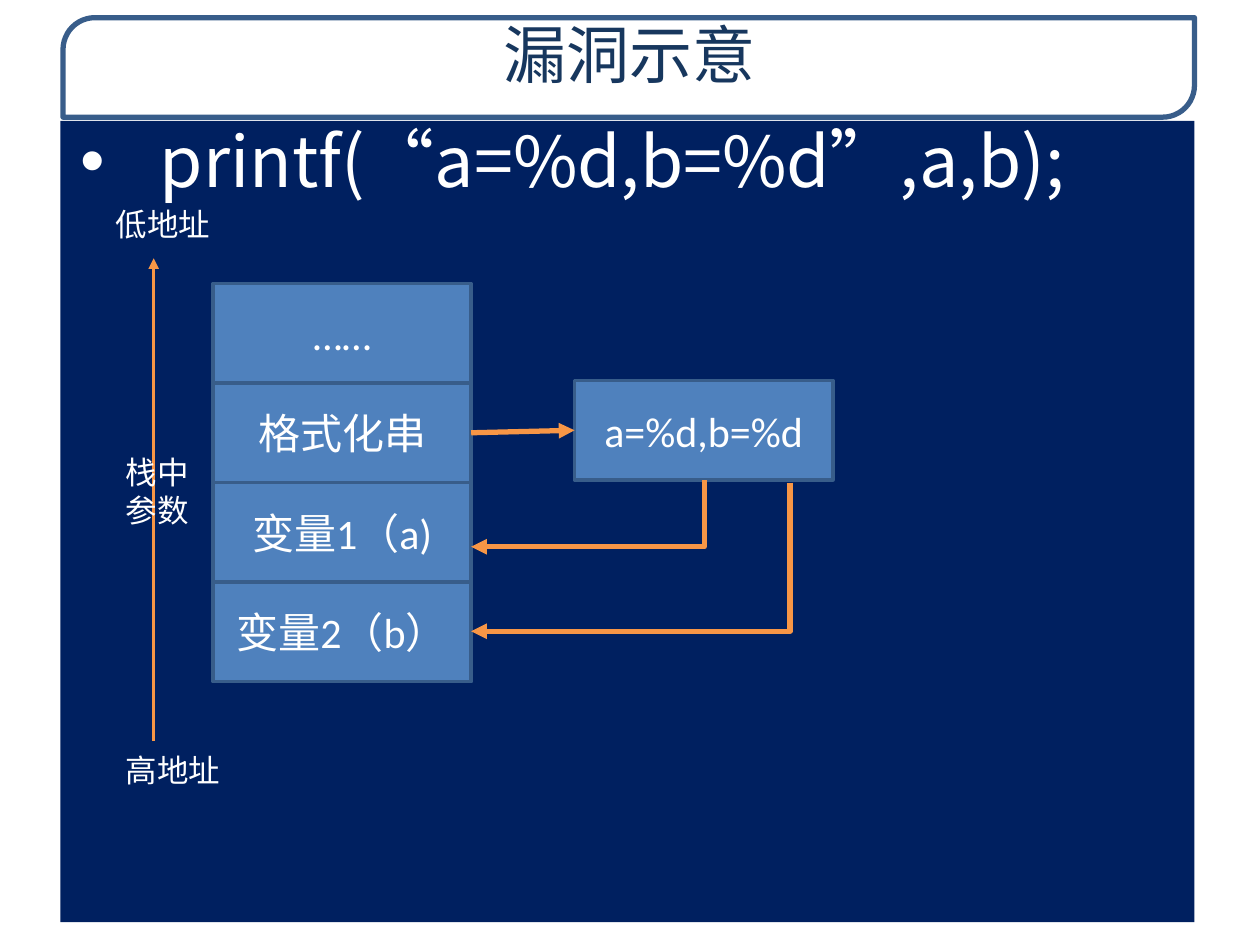
from lxml import etree
from pptx import Presentation
from pptx.dml.color import RGBColor
from pptx.enum import shapes, text
from pptx.oxml.ns import qn
from pptx.util import Inches, Pt

TITLE = "漏洞示意"
CODE = "printf(“a=%d,b=%d”,a,b);"
STACK = ["……", "格式化串", "变量1（a)", "变量2（b）"]
FORMAT = "a=%d,b=%d"
LABELS = [  # text, left, top, width, height
    ("低地址", 0.82, 1.58, 0.95, 0.4),
    ("高地址", 0.9, 5.91, 0.95, 0.4),
    ("栈中\n参数", 0.9, 3.55, 0.72, 0.7),
]
COLORS = {"white": "FFFFFF", "navy": "002060", "title": "17375E",
          "cell": "4F81BD", "edge": "385D8A", "arrow": "F79646"}
CJK = "Noto Sans CJK SC"
CELL_W, CELL_H = 2.05, 0.79
STACK_X, STACK_Y = 1.69, 2.25
FORMAT_X, FORMAT_Y = 4.56, 3.02

prs = Presentation()
prs.slide_width, prs.slide_height = Inches(10), Inches(7.5)
slide = prs.slides.add_slide(prs.slide_layouts[6])


def color(name):
    return RGBColor.from_string(COLORS[name])


def write(shape, content, size=24, font="Calibri", ink="white", inset=0.1,
          align=text.PP_ALIGN.CENTER, anchor=text.MSO_ANCHOR.MIDDLE,
          bullet_indent=None, spacing=None):
    frame = shape.text_frame
    frame.word_wrap = True
    frame.vertical_anchor = anchor
    frame.margin_left = frame.margin_right = Inches(inset)
    frame.text = content
    for paragraph in frame.paragraphs:
        paragraph.alignment = align
        paragraph.line_spacing = spacing
        if bullet_indent:
            props = paragraph._p.get_or_add_pPr()
            props.set("marL", str(Inches(bullet_indent)))
            props.set("indent", str(-Inches(bullet_indent)))
            etree.SubElement(props, qn("a:buFont"), typeface="Arial")
            etree.SubElement(props, qn("a:buChar"), char="•")
        for run in paragraph.runs:
            run.font.size = Pt(size)
            run.font.name = font
            run.font.color.rgb = color(ink)
            etree.SubElement(run._r.get_or_add_rPr(), qn("a:ea"), typeface=CJK)


def add_box(x, y, w, h, fill, edge=None, weight=2,
            kind=shapes.MSO_SHAPE.RECTANGLE):
    box = slide.shapes.add_shape(kind, Inches(x), Inches(y), Inches(w), Inches(h))
    box.shadow.inherit = False
    box.fill.solid()
    box.fill.fore_color.rgb = color(fill)
    if edge:
        box.line.color.rgb = color(edge)
        box.line.width = Pt(weight)
    else:
        box.line.fill.background()
    return box


def add_cell(content, x, y):
    cell = add_box(x, y, CELL_W, CELL_H, "cell", "edge")
    write(cell, content)
    return cell


def add_arrow(start, end, weight=3, kind=shapes.MSO_CONNECTOR.STRAIGHT):
    arrow = slide.shapes.add_connector(kind, *map(Inches, start + end))
    arrow.line.color.rgb = color("arrow")
    arrow.line.width = Pt(weight)
    etree.SubElement(arrow.line._get_or_add_ln(), qn("a:tailEnd"), type="triangle")
    props = arrow._element.spPr
    etree.SubElement(props, qn("a:effectLst"))
    if kind == shapes.MSO_CONNECTOR.ELBOW:  # turn at the start: down, then left
        guides = props.find(qn("a:prstGeom")).get_or_add_avLst()
        etree.SubElement(guides, qn("a:gd"), name="adj1", fmla="val 0")
    return arrow


# Title frame and title
title_frame = add_box(0.5, 0.14, 8.98, 0.79, "white", "edge", 3,
                      shapes.MSO_SHAPE.ROUND_2_DIAG_RECTANGLE)
title_frame.adjustments[0] = 0.32
title = slide.shapes.add_textbox(*map(Inches, (0.51, 0.14, 8.97, 0.76)))
write(title, TITLE, size=36, font=CJK, ink="title", spacing=0.9,
      anchor=text.MSO_ANCHOR.TOP)

# Panel with the code line
panel = add_box(0.48, 0.96, 9, 6.36, "navy")
write(panel, CODE, size=40, font=CJK, inset=0.16, bullet_indent=0.63, spacing=0.9,
      align=text.PP_ALIGN.JUSTIFY, anchor=text.MSO_ANCHOR.TOP)

# Stack cells
cells = [add_cell(content, STACK_X, STACK_Y + i * CELL_H)
         for i, content in enumerate(STACK)]

# Address axis and its labels
add_arrow((1.22, 5.88), (1.22, 2.05), weight=2)
for content, *place in LABELS:
    label = slide.shapes.add_textbox(*map(Inches, place))
    write(label, content, size=18, font="Arial", align=text.PP_ALIGN.LEFT,
          anchor=text.MSO_ANCHOR.TOP)

# Format string and its arrows
format_box = add_cell(FORMAT, FORMAT_X, FORMAT_Y)
stack_right = STACK_X + CELL_W
pointer = add_arrow((stack_right, 3.44), (FORMAT_X, 3.42))
pointer.begin_connect(cells[1], 3)
pointer.end_connect(format_box, 1)
for start, end_y in [((5.59, 3.81), 4.34), ((6.27, 3.83), 5.01)]:
    add_arrow(start, (stack_right, end_y), kind=shapes.MSO_CONNECTOR.ELBOW)

prs.save("out.pptx")
